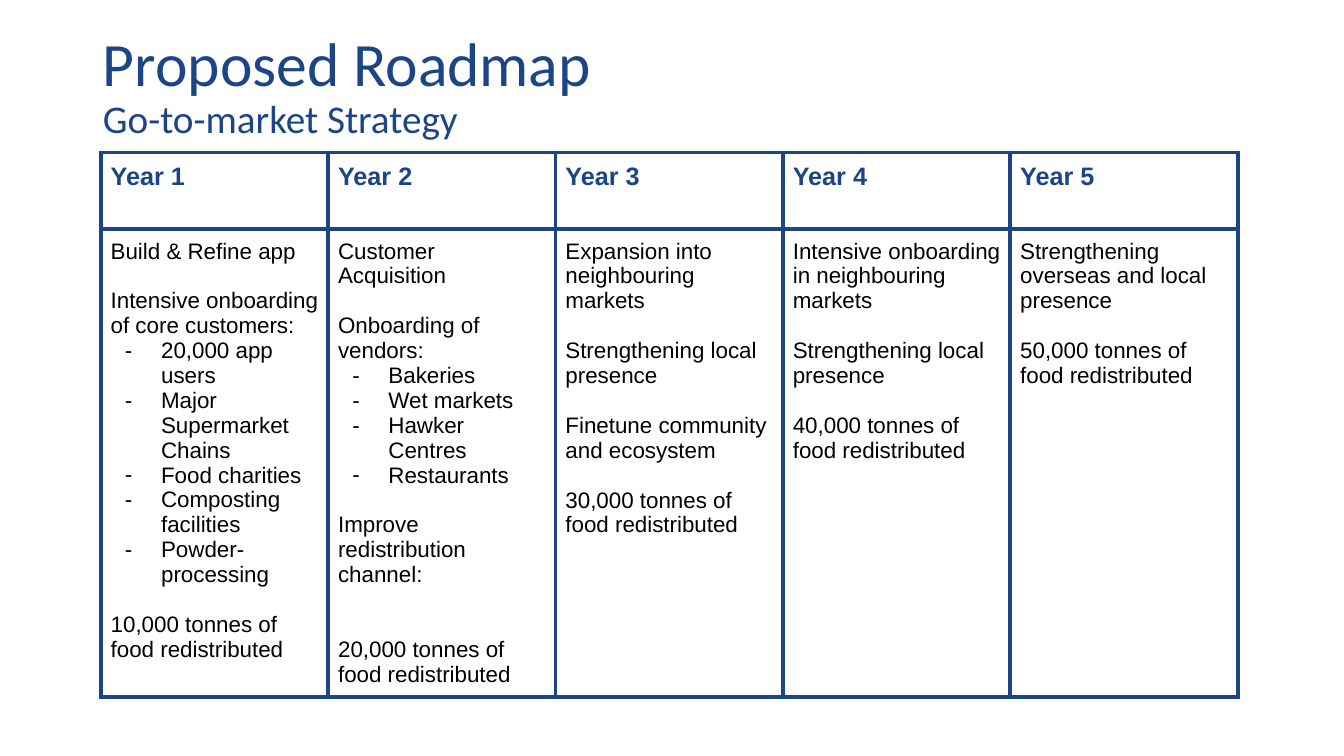
import dataclasses

import lxml.etree
import pptx
import pptx.dml.color
import pptx.enum.text
import pptx.oxml.ns
import pptx.util

Cm = pptx.util.Cm
Pt = pptx.util.Pt
qn = pptx.oxml.ns.qn


@dataclasses.dataclass(frozen=True)
class Theme:
    blue: str = "1C4587"
    black: str = "000000"
    title_font: str = "Calibri"
    table_font: str = "Arial"
    title_size: float = 44
    subtitle_size: float = 28
    heading_size: float = 18
    body_size: float = 16
    body_line: float = 17.8
    border_width: float = 3


@dataclasses.dataclass(frozen=True)
class Item:
    text: str
    gap_lines: int = 0
    bullet: bool = False


@dataclasses.dataclass(frozen=True)
class Year:
    heading: str
    items: list[Item]


THEME = Theme()
LEFT, TOP = Cm(2.54), Cm(3.84)
COLUMN_WIDTH = Cm(5.73)
ROW_HEIGHTS = [Cm(1.93), Cm(11.79)]
CELL_MARGIN = Cm(0.25)


def bullets(*texts: str) -> list[Item]:
    return [Item(text, bullet=True) for text in texts]


YEARS = [
    Year("Year 1", [
        Item("Build & Refine app"),
        Item("Intensive onboarding of core customers:", 1),
        *bullets("20,000 app users", "Major Supermarket Chains", "Food charities",
                 "Composting facilities", "Powder-processing"),
        Item("10,000 tonnes of food redistributed", 1),
    ]),
    Year("Year 2", [
        Item("Customer Acquisition"),
        Item("Onboarding of vendors:", 1),
        *bullets("Bakeries", "Wet markets", "Hawker Centres", "Restaurants"),
        Item("Improve redistribution channel:", 1),
        Item("20,000 tonnes of food redistributed", 2),
    ]),
    Year("Year 3", [
        Item("Expansion into neighbouring markets"),
        Item("Strengthening local presence", 1),
        Item("Finetune community and ecosystem", 1),
        Item("30,000 tonnes of food redistributed", 1),
    ]),
    Year("Year 4", [
        Item("Intensive onboarding in neighbouring markets"),
        Item("Strengthening local presence", 1),
        Item("40,000 tonnes of food redistributed", 1),
    ]),
    Year("Year 5", [
        Item("Strengthening overseas and local presence"),
        Item("50,000 tonnes of food redistributed", 1),
    ]),
]


def set_attributes(target: object, values: dict[str, object]) -> None:
    for name, value in values.items():
        setattr(target, name, value)


def add_run(paragraph, text: str, font: str, size: float, color: str, bold: bool = False) -> None:
    run = paragraph.add_run()
    run.text = text
    set_attributes(run.font, {"name": font, "size": Pt(size), "bold": bold})
    run.font.color.rgb = pptx.dml.color.RGBColor.from_string(color)


def add_dash(paragraph) -> None:
    """Give the paragraph a black dash bullet with a hanging indent."""
    properties = paragraph._p.get_or_add_pPr()
    properties.set("marL", str(Cm(1.27)))
    properties.set("indent", str(Cm(-0.91)))
    color = lxml.etree.SubElement(properties, qn("a:buClr"))
    lxml.etree.SubElement(color, qn("a:srgbClr"), val=THEME.black)
    lxml.etree.SubElement(properties, qn("a:buFont"), typeface=THEME.table_font)
    lxml.etree.SubElement(properties, qn("a:buChar"), char="-")


def format_cell(cell) -> None:
    """Set margins, clear the fill and draw all four borders."""
    set_attributes(cell, {f"margin_{side}": CELL_MARGIN
                          for side in ("left", "right", "top", "bottom")})
    cell.fill.background()
    properties = cell._tc.get_or_add_tcPr()
    for index, tag in enumerate(("a:lnL", "a:lnR", "a:lnT", "a:lnB")):
        line = lxml.etree.Element(qn(tag), w=str(Pt(THEME.border_width)))
        fill = lxml.etree.SubElement(line, qn("a:solidFill"))
        lxml.etree.SubElement(fill, qn("a:srgbClr"), val=THEME.blue)
        properties.insert(index, line)


def write_items(text_frame, items: list[Item]) -> None:
    for index, item in enumerate(items):
        paragraph = text_frame.add_paragraph() if index else text_frame.paragraphs[0]
        if item.gap_lines:
            paragraph.space_before = Pt(item.gap_lines * THEME.body_line)
        if item.bullet:
            add_dash(paragraph)
        add_run(paragraph, item.text, THEME.table_font, THEME.body_size, THEME.black)


def write_title(title) -> None:
    set_attributes(title, {"left": Cm(2.34), "top": Cm(0.36),
                           "width": Cm(29.21), "height": Cm(3.68)})
    frame = title.text_frame
    set_attributes(frame, {"word_wrap": True,
                           "auto_size": pptx.enum.text.MSO_AUTO_SIZE.NONE,
                           "vertical_anchor": pptx.enum.text.MSO_ANCHOR.MIDDLE})
    lines = [("Proposed Roadmap", THEME.title_size),
             ("Go-to-market Strategy", THEME.subtitle_size)]
    for index, (text, size) in enumerate(lines):
        paragraph = frame.add_paragraph() if index else frame.paragraphs[0]
        set_attributes(paragraph, {"alignment": pptx.enum.text.PP_ALIGN.LEFT,
                                   "line_spacing": 0.9, "space_before": Pt(0)})
        add_run(paragraph, text, THEME.title_font, size, THEME.blue)


def add_roadmap(slide, years: list[Year]) -> None:
    table = slide.shapes.add_table(len(ROW_HEIGHTS), len(years), LEFT, TOP,
                                   COLUMN_WIDTH * len(years), sum(ROW_HEIGHTS)).table
    set_attributes(table, {"first_row": False, "horz_banding": False})
    for row, height in zip(table.rows, ROW_HEIGHTS):
        row.height = height
    for index, year in enumerate(years):
        table.columns[index].width = COLUMN_WIDTH
        heading, body = table.cell(0, index), table.cell(1, index)
        format_cell(heading)
        format_cell(body)
        add_run(heading.text_frame.paragraphs[0], year.heading, THEME.table_font,
                THEME.heading_size, THEME.blue, bold=True)
        write_items(body.text_frame, year.items)


def main() -> None:
    presentation = pptx.Presentation()
    set_attributes(presentation, {"slide_width": Cm(33.87), "slide_height": Cm(19.05)})
    slide = presentation.slides.add_slide(presentation.slide_layouts.get_by_name("Title Only"))
    write_title(slide.shapes.title)
    add_roadmap(slide, YEARS)
    presentation.save("out.pptx")


if __name__ == "__main__":
    main()
